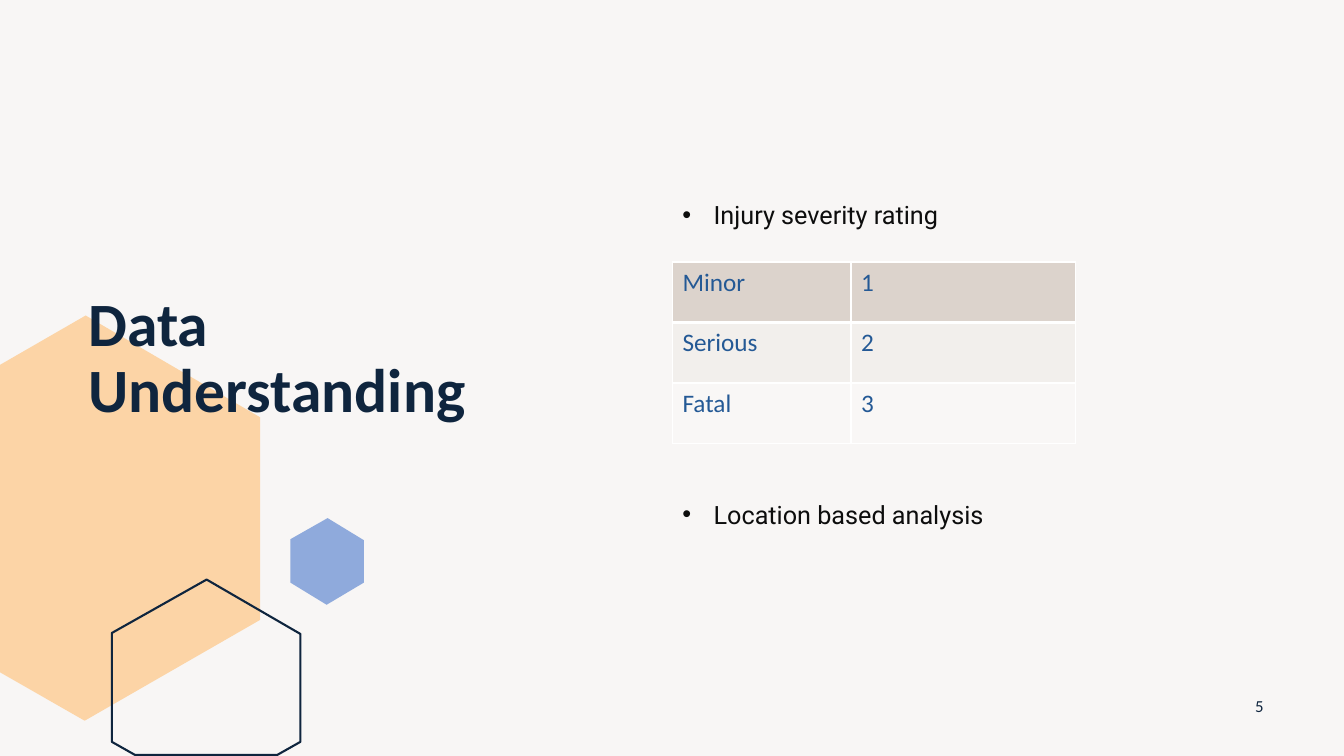
import pptx
import pptx.dml.color
import pptx.enum.text
import pptx.oxml
import pptx.oxml.ns
import pptx.util
from pptx.util import Inches

COLORS = {
    "back": "F8F6F5",
    "peach": "FCD4A6",
    "navy": "0F253E",
    "sky": "8FAADC",
    "ink": "0D0D0D",
    "blue": "245995",
    "white": "FFFFFF",
}
BANDS = ["DCD3CC", "F2EFEC", "F9F7F6"]
RATINGS = [("Minor", "1"), ("Serious", "2"), ("Fatal", "3")]
COLUMNS = [1.77, 2.23]
LARGE = [(0.85, 3.13), (2.58, 4.14), (2.58, 6.15), (0.84, 7.15), (0, 6.67), (0, 3.62)]
OUTLINE = [(2.05, 5.75), (2.98, 6.29), (2.98, 7.36), (2.75, 7.49),
           (1.34, 7.49), (1.11, 7.36), (1.11, 6.28)]
SMALL = [(3.25, 5.14), (2.88, 5.35), (2.88, 5.78), (3.24, 6), (3.61, 5.78), (3.61, 5.36)]


def rgb(value):
    return pptx.dml.color.RGBColor.from_string(value)


def write(frame, text, size=18, color="navy", font="Calibri", bold=False,
          align="LEFT", anchor="TOP", spacing=1.0, bullet=False):
    frame.word_wrap = True
    frame.vertical_anchor = pptx.enum.text.MSO_ANCHOR[anchor]
    para = frame.paragraphs[0]
    para.alignment = pptx.enum.text.PP_ALIGN[align]
    para.line_spacing = spacing
    run = para.add_run()
    run.text = text
    run.font.size = pptx.util.Pt(size)
    run.font.name = font
    run.font.bold = bold
    run.font.color.rgb = rgb(COLORS[color])
    if bullet:
        props = para._p.get_or_add_pPr()
        indent = Inches(0.31)
        props.set("marL", str(indent))
        props.set("indent", str(-indent))
        for tag, name, value in (("buFont", "typeface", "Arial"), ("buChar", "char", "•")):
            pptx.oxml.ns.qn("a:" + tag)
            props.append(pptx.oxml.parse_xml(
                f'<a:{tag} {pptx.oxml.ns.nsdecls("a")} {name}="{value}"/>'))


def label(slide, left, top, width, height, text, **style):
    box = slide.shapes.add_textbox(*map(Inches, (left, top, width, height)))
    write(box.text_frame, text, **style)


def hexagon(slide, points, fill=None, line=None):
    start, *rest = [(Inches(x), Inches(y)) for x, y in points]
    builder = slide.shapes.build_freeform(*start)
    builder.add_line_segments(rest, close=True)
    shape = builder.convert_to_shape()
    shape.shadow.inherit = False
    if fill:
        shape.fill.solid()
        shape.fill.fore_color.rgb = rgb(COLORS[fill])
    else:
        shape.fill.background()
    if line:
        shape.line.color.rgb = rgb(COLORS[line])
        shape.line.width = pptx.util.Pt(1.5)
    else:
        shape.line.fill.background()


def border(cell, side, width):
    cell._tc.get_or_add_tcPr().append(pptx.oxml.parse_xml(
        f'<a:ln{side} {pptx.oxml.ns.nsdecls("a")} w="{pptx.util.Pt(width)}">'
        f'<a:solidFill><a:srgbClr val="{COLORS["white"]}"/></a:solidFill></a:ln{side}>'))


def ratings(slide):
    frame = slide.shapes.add_table(
        len(RATINGS), len(COLUMNS), Inches(6.67), Inches(2.6), Inches(4), Inches(1.79))
    table = frame.table
    for column, width in zip(table.columns, COLUMNS):
        column.width = Inches(width)
    for row, values in enumerate(RATINGS):
        table.rows[row].height = Inches(0.6)
        for col, value in enumerate(values):
            cell = table.cell(row, col)
            write(cell.text_frame, value, color="blue")
            for side in "LRTB":
                heavy = (row, side) in ((0, "B"), (1, "T"))
                border(cell, side, 3 if heavy else 1)
            cell.fill.solid()
            cell.fill.fore_color.rgb = rgb(BANDS[row])


def main():
    deck = pptx.Presentation()
    deck.slide_width = Inches(13.33)
    deck.slide_height = Inches(7.5)
    slide = deck.slides.add_slide(deck.slide_layouts[6])
    slide.background.fill.solid()
    slide.background.fill.fore_color.rgb = rgb(COLORS["back"])

    hexagon(slide, LARGE, fill="peach")
    hexagon(slide, OUTLINE, line="navy")
    hexagon(slide, SMALL, fill="sky")
    label(slide, 0.78, 2.86, 5.2, 1.79, "Data Understanding", size=44, bold=True, spacing=0.9)
    label(slide, 12.24, 6.8, 0.5, 0.4, "5", size=12, align="CENTER", anchor="MIDDLE")
    ratings(slide)
    topic = dict(font="Roboto", color="ink", bullet=True)
    label(slide, 6.67, 1.93, 3.26, 0.4, "Injury severity rating", **topic)
    label(slide, 6.67, 4.9, 4.36, 0.4, "Location based analysis", **topic)
    deck.save("out.pptx")


if __name__ == "__main__":
    main()
